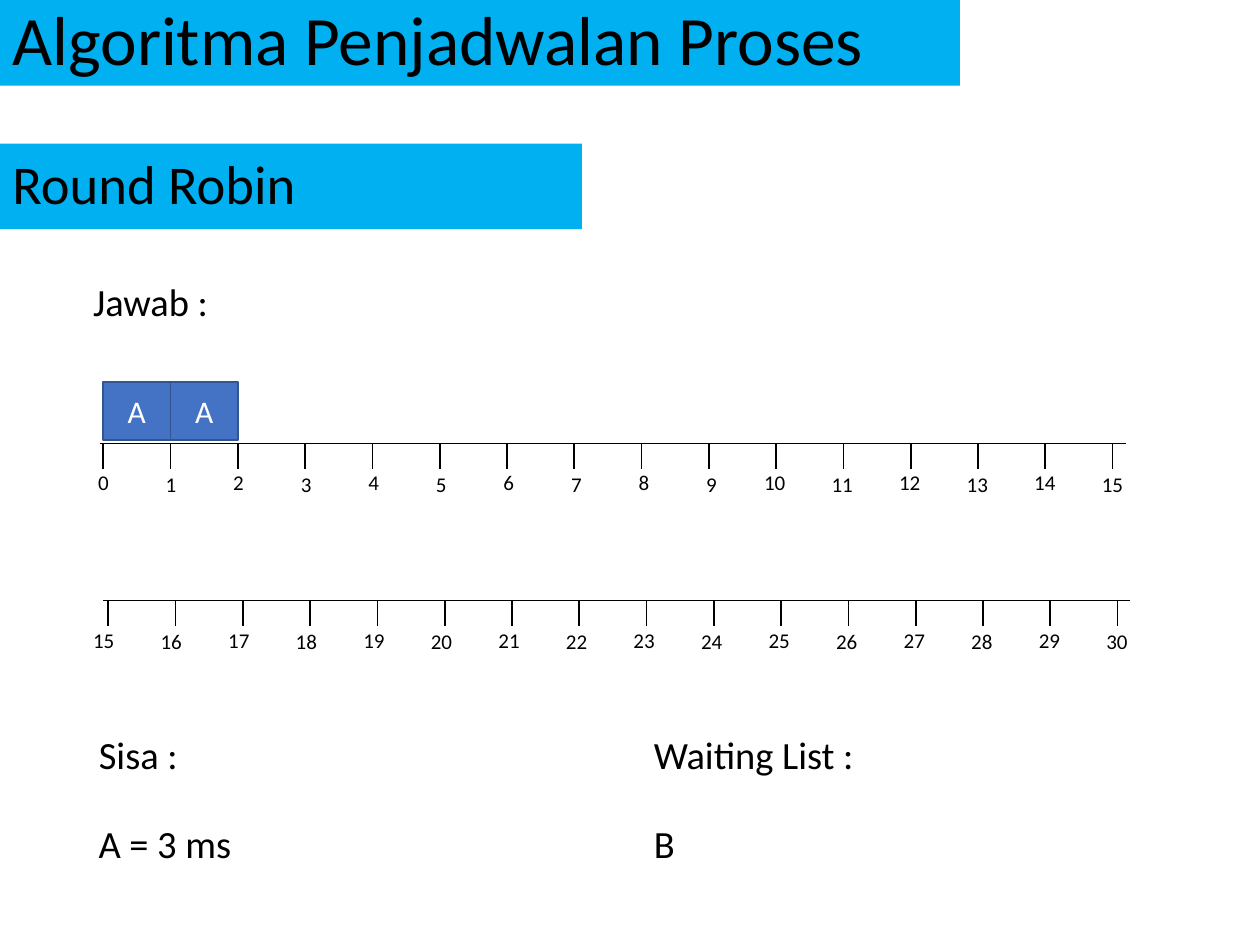
from dataclasses import dataclass

from lxml import etree
from pptx import Presentation
from pptx.dml.color import RGBColor
from pptx.enum.shapes import MSO_CONNECTOR as Connector, MSO_SHAPE as Shape
from pptx.enum.text import MSO_ANCHOR as Anchor, MSO_AUTO_SIZE as AutoSize, PP_ALIGN as Align
from pptx.oxml.ns import qn
from pptx.slide import Slide
from pptx.text.text import TextFrame
from pptx.util import Pt

BLACK = RGBColor(0x00, 0x00, 0x00)
WHITE = RGBColor(0xFF, 0xFF, 0xFF)
BANNER_BLUE = RGBColor(0x00, 0xB0, 0xF0)
PROCESS_BLUE = RGBColor(0x44, 0x72, 0xC4)
PROCESS_EDGE = RGBColor(0x32, 0x54, 0x91)
FONT = "Calibri"

BANNER_HEIGHT = 49
TICK_COUNT = 16
TICK_GAP = 38.45
TICK_LENGTH = 14.4
LABEL_GAP = 38.6
LABEL_DROP = 11.6
TWO_DIGIT_SHIFT = 5.5


@dataclass(frozen=True)
class Banner:
    text: str
    top: float
    width: float
    size: float


@dataclass(frozen=True)
class Note:
    text: str
    left: float
    top: float


@dataclass(frozen=True)
class Timeline:
    first: int
    left: float
    top: float
    width: float
    tick_left: float
    label_left: float


BANNERS = [
    Banner("Algoritma Penjadwalan Proses", 0, 548.6, 39.6),
    Banner("Round Robin", 82, 332.6, 31.2),
]
TIMELINES = [
    Timeline(0, 56.9, 253.4, 586.8, 59, 49),
    Timeline(15, 59, 343.4, 586.8, 61.9, 51.6),
]
NOTES = [
    Note("Jawab :", 46.1, 155.5),
    Note("Sisa :", 49.4, 414),
    Note("A = 3 ms", 49.2, 465.1),
    Note("Waiting List :", 366.5, 414),
    Note("B", 366.5, 465.1),
]
PROCESSES = ["A", "A"]


def write(frame: TextFrame, text: str, size: float, color: RGBColor, align: Align) -> None:
    frame.text = text
    frame.word_wrap = True
    para = frame.paragraphs[0]
    para.alignment = align
    font = para.runs[0].font
    font.name, font.size = FONT, Pt(size)
    font.color.rgb = color


def add_box(page: Slide, left: float, top: float, width: float, height: float, fill: RGBColor):
    box = page.shapes.add_shape(Shape.RECTANGLE, Pt(left), Pt(top), Pt(width), Pt(height))
    box.shadow.inherit = False
    box.fill.solid()
    box.fill.fore_color.rgb = fill
    box.text_frame.vertical_anchor = Anchor.MIDDLE
    return box


def add_banner(page: Slide, banner: Banner) -> None:
    box = add_box(page, 0, banner.top, banner.width, BANNER_HEIGHT, BANNER_BLUE)
    box.line.fill.background()
    write(box.text_frame, banner.text, banner.size, BLACK, Align.LEFT)
    box.text_frame.paragraphs[0].line_spacing = 0.9


def add_process(page: Slide, name: str, slot: int) -> None:
    """Place one process block above its time slot on the first timeline."""
    left = TIMELINES[0].tick_left + slot * TICK_GAP
    box = add_box(page, left, 218.2, TICK_GAP, 33.1, PROCESS_BLUE)
    box.line.color.rgb = PROCESS_EDGE
    box.line.width = Pt(1)
    write(box.text_frame, name, 18, WHITE, Align.CENTER)


def add_text(page: Slide, text: str, left: float, top: float, width: float,
             height: float, size: float, align: Align) -> None:
    box = page.shapes.add_textbox(Pt(left), Pt(top), Pt(width), Pt(height))
    write(box.text_frame, text, size, BLACK, align)
    box.text_frame.auto_size = AutoSize.SHAPE_TO_FIT_TEXT


def add_line(page: Slide, x1: float, y1: float, x2: float, y2: float, weight: float) -> None:
    line = page.shapes.add_connector(Connector.STRAIGHT, Pt(x1), Pt(y1), Pt(x2), Pt(y2))
    line.line.color.rgb = BLACK
    line.line.width = Pt(weight)
    etree.SubElement(line._element.spPr, qn("a:effectLst"))


def add_timeline(page: Slide, axis: Timeline) -> None:
    add_line(page, axis.left, axis.top, axis.left + axis.width, axis.top, 0.5)
    for index in range(TICK_COUNT):
        x = axis.tick_left + index * TICK_GAP
        add_line(page, x, axis.top, x, axis.top + TICK_LENGTH, 1)

        label = str(axis.first + index)
        two_digits = len(label) == 2
        left = axis.label_left + index * LABEL_GAP - TWO_DIGIT_SHIFT * two_digits
        top = axis.top + LABEL_DROP + 0.7 * (index % 2)
        add_text(page, label, left, top, 29 if two_digits else 24, 21.8, 12, Align.LEFT)


def main() -> None:
    deck = Presentation()
    deck.slide_width, deck.slide_height = Pt(720), Pt(540)
    page = deck.slides.add_slide(deck.slide_layouts[6])

    for banner in BANNERS:
        add_banner(page, banner)
    for slot, name in enumerate(PROCESSES):
        add_process(page, name, slot)
    for axis in TIMELINES:
        add_timeline(page, axis)
    for note in NOTES:
        add_text(page, note.text, note.left, note.top, 142.6, 33.8, 22, Align.JUSTIFY)

    deck.save("out.pptx")


if __name__ == "__main__":
    main()
